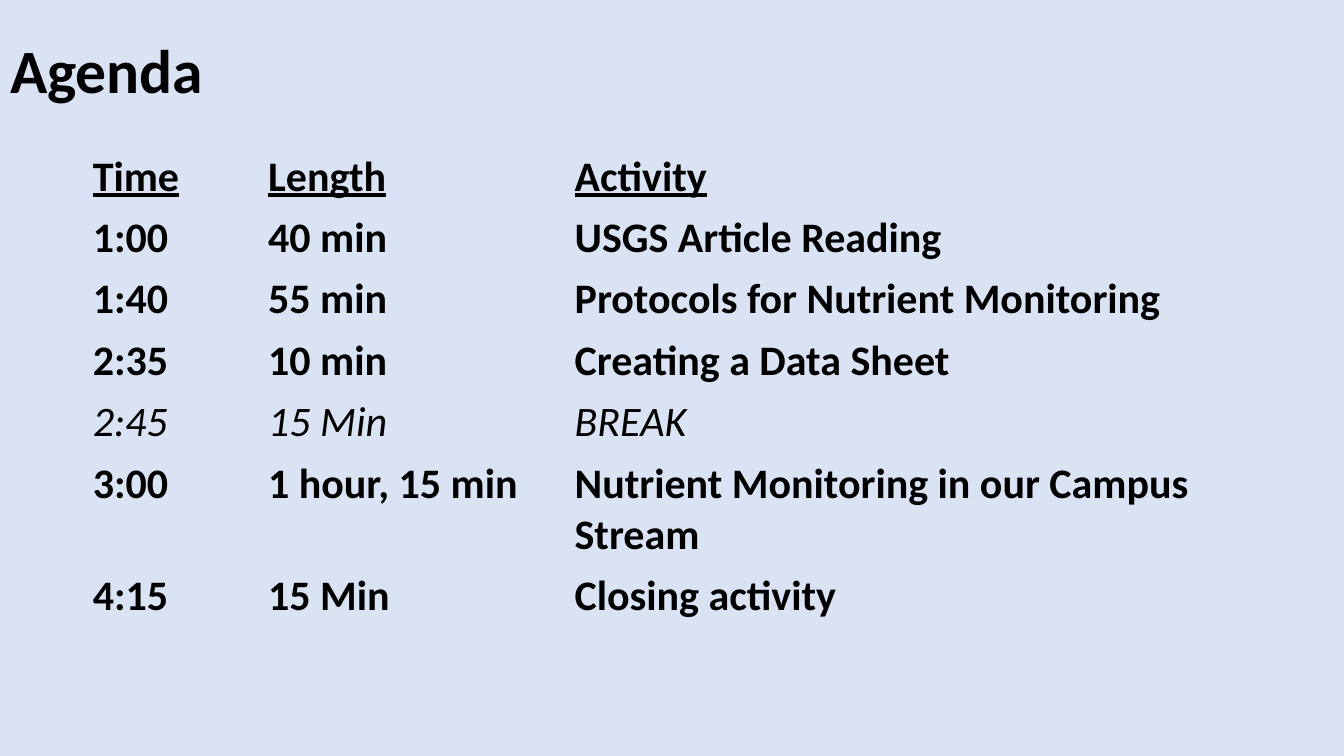
from dataclasses import dataclass

from pptx import Presentation
from pptx.dml.color import RGBColor
from pptx.enum.text import MSO_ANCHOR, MSO_AUTO_SIZE, PP_ALIGN
from pptx.oxml.ns import qn
from pptx.util import Inches, Pt


@dataclass(frozen=True)
class Theme:
    face: str = "Calibri"
    ink: RGBColor = RGBColor.from_string("000000")
    backdrop: RGBColor = RGBColor.from_string("DAE3F3")
    title_size: int = 44
    table_size: int = 30
    plain_table_style: str = "{2D5ABB26-0587-4C30-8999-92F81FD0307C}"


THEME = Theme()
SLIDE_WIDTH, SLIDE_HEIGHT = 13.33, 7.5
CONTENT_WIDTH, TITLE_HEIGHT = 11.5, 1.45
TABLE_LEFT, TABLE_HEIGHT, ROW_HEIGHT = 0.82, 4.7, 0.41
COLUMN_WIDTHS = (1.74, 3.04, 6.73)

AGENDA = (
    ("Time", "Length", "Activity"),
    ("1:00", "40 min", "USGS Article Reading"),
    ("1:40", "55 min", "Protocols for Nutrient Monitoring"),
    ("2:35", "10 min", "Creating a Data Sheet"),
    ("2:45", "15 Min", "BREAK"),
    ("3:00", "1 hour, 15 min", "Nutrient Monitoring in our Campus Stream"),
    ("4:15", "15 Min", "Closing activity"),
)


def style_font(font, size, bold=True, italic=False, underline=False):
    font.name = THEME.face
    font.size = Pt(size)
    font.color.rgb = THEME.ink
    font.bold = bold
    font.italic = italic
    font.underline = underline


def set_title(page, text):
    title = page.shapes.title
    title.left = title.top = 0
    title.width, title.height = Inches(CONTENT_WIDTH), Inches(TITLE_HEIGHT)
    frame = title.text_frame
    frame.text = text
    frame.word_wrap = True
    frame.auto_size = MSO_AUTO_SIZE.NONE
    frame.vertical_anchor = MSO_ANCHOR.MIDDLE
    para = frame.paragraphs[0]
    para.alignment = PP_ALIGN.LEFT
    para.line_spacing = 0.9
    style_font(para.font, THEME.title_size)


def fill_cell(cell, text, **emphasis):
    cell.fill.background()
    cell.text = text
    style_font(cell.text_frame.paragraphs[0].font, THEME.table_size, **emphasis)


def add_agenda(page, entries):
    holder = page.shapes.add_table(
        len(entries), len(COLUMN_WIDTHS), Inches(TABLE_LEFT),
        Inches(TITLE_HEIGHT), Inches(CONTENT_WIDTH), Inches(TABLE_HEIGHT))
    table = holder.table
    table.horz_banding = False
    table._tbl.tblPr.find(qn("a:tableStyleId")).text = THEME.plain_table_style
    for column, width in zip(table.columns, COLUMN_WIDTHS):
        column.width = Inches(width)
    for index, (row, entry) in enumerate(zip(table.rows, entries)):
        row.height = Inches(ROW_HEIGHT)
        is_break = entry[-1] == "BREAK"
        for cell, text in zip(row.cells, entry):
            fill_cell(cell, text, bold=not is_break, italic=is_break,
                      underline=index == 0)
    holder.height = Inches(TABLE_HEIGHT)


def main():
    deck = Presentation()
    deck.slide_width, deck.slide_height = Inches(SLIDE_WIDTH), Inches(SLIDE_HEIGHT)
    page = deck.slides.add_slide(deck.slide_layouts.get_by_name("Title Only"))
    page.background.fill.solid()
    page.background.fill.fore_color.rgb = THEME.backdrop
    set_title(page, "Agenda")
    add_agenda(page, AGENDA)
    deck.save("out.pptx")


if __name__ == "__main__":
    main()
